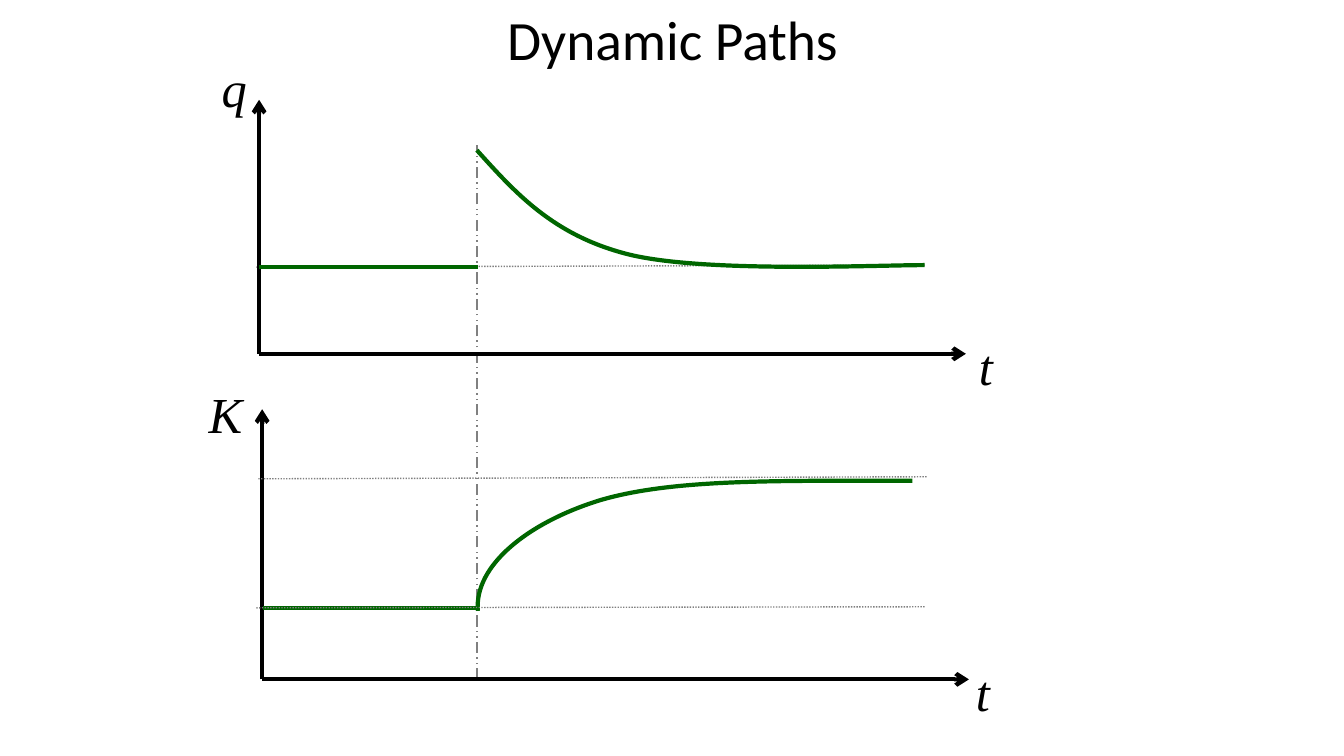
from dataclasses import dataclass

from pptx import Presentation
from pptx.dml.color import RGBColor
from pptx.enum.dml import MSO_LINE
from pptx.enum.shapes import MSO_CONNECTOR
from pptx.enum.text import MSO_ANCHOR, MSO_AUTO_SIZE, PP_ALIGN
from pptx.oxml.ns import qn
from pptx.oxml.xmlchemy import OxmlElement
from pptx.util import Inches, Pt

STRAIGHT = MSO_CONNECTOR.STRAIGHT
DOTTED = MSO_LINE.ROUND_DOT
DASH_DOTS = MSO_LINE.DASH_DOT_DOT
MIDDLE = MSO_ANCHOR.MIDDLE
NO_FIT = MSO_AUTO_SIZE.NONE
GROW = MSO_AUTO_SIZE.SHAPE_TO_FIT_TEXT
CENTER = PP_ALIGN.CENTER
TITLE_ONLY = 5


@dataclass(frozen=True)
class Theme:
    ink: RGBColor = RGBColor(0x00, 0x00, 0x00)
    guide: RGBColor = RGBColor(0x80, 0x80, 0x80)
    curve: RGBColor = RGBColor(0x00, 0x66, 0x00)
    title_font: str = "Calibri"
    label_font: str = "Times New Roman"
    title_size: float = 39.6
    label_size: float = 36
    guide_width: float = 1
    bold_width: float = 3


THEME = Theme()


def to_lengths(point):
    return tuple(Inches(value) for value in point)


def add_run(paragraph, text, font_name, size, italic=False):
    run = paragraph.add_run()
    run.text = text
    run.font.name = font_name
    run.font.size = Pt(size)
    run.font.italic = italic
    run.font.color.rgb = THEME.ink


def add_title(slide, text):
    title = slide.shapes.title
    title.left, title.top = Inches(0.67), Inches(0)
    title.width, title.height = Inches(12), Inches(0.76)
    frame = title.text_frame
    frame.auto_size = NO_FIT
    frame.vertical_anchor = MIDDLE
    frame.paragraphs[0].alignment = CENTER
    add_run(frame.paragraphs[0], text, THEME.title_font, THEME.title_size)


def add_label(slide, text, left, top):
    label = slide.shapes.add_textbox(
        Inches(left), Inches(top), Inches(0.47), Inches(0.71))
    frame = label.text_frame
    frame.word_wrap = False
    frame.auto_size = GROW
    add_run(frame.paragraphs[0], text, THEME.label_font, THEME.label_size, italic=True)


def add_line(shapes, start, end, color, width, dash=None, arrow=False):
    connector = shapes.add_connector(STRAIGHT, *to_lengths(start), *to_lengths(end))
    connector.line.color.rgb = color
    connector.line.width = Pt(width)
    if dash is not None:
        connector.line.dash_style = dash
    if arrow:
        arrowhead = OxmlElement("a:tailEnd")
        arrowhead.set("type", "arrow")
        connector.line._get_or_add_ln().append(arrowhead)
    connector._element.spPr.append(OxmlElement("a:effectLst"))


def add_guide(slide, start, end, dash=DOTTED):
    add_line(slide.shapes, start, end, THEME.guide, THEME.guide_width, dash=dash)


def add_steady_state(slide, start, end):
    add_line(slide.shapes, start, end, THEME.curve, THEME.bold_width)


def add_axes(slide, origin, top, right):
    axes = slide.shapes.add_group_shape()
    for tip in ((origin[0], top), (right, origin[1])):
        add_line(axes.shapes, origin, tip, THEME.ink, THEME.bold_width, arrow=True)


def add_curve(slide, start, controls):
    """Draw Bézier segments; each takes three points of controls."""
    builder = slide.shapes.build_freeform(*to_lengths(start))
    builder.add_line_segments([to_lengths(point) for point in controls], close=False)
    curve = builder.convert_to_shape()

    # Join every three straight segments into one cubic segment
    segments = list(curve._element.iter(qn("a:lnTo")))
    for first in range(0, len(segments), 3):
        cubic = OxmlElement("a:cubicBezTo")
        segments[first].addprevious(cubic)
        for segment in segments[first:first + 3]:
            cubic.append(segment[0])
            segment.getparent().remove(segment)

    curve.fill.background()
    curve.line.color.rgb = THEME.curve
    curve.line.width = Pt(THEME.bold_width)
    curve.shadow.inherit = False


def main():
    prs = Presentation()
    prs.slide_width, prs.slide_height = Inches(13.33), Inches(7.5)
    slide = prs.slides.add_slide(prs.slide_layouts[TITLE_ONLY])
    add_title(slide, "Dynamic Paths")

    # Guides behind both charts: steady q and the moment of the shock
    add_guide(slide, (9.17, 2.63), (2.53, 2.65))
    add_guide(slide, (4.73, 6.74), (4.73, 1.44), DASH_DOTS)

    # Axes and their labels
    add_axes(slide, origin=(2.57, 3.51), top=0.99, right=9.58)
    add_axes(slide, origin=(2.6, 6.74), top=4.06, right=9.61)
    for text, left, top in (("q", 2.1, 0.52), ("t", 9.61, 3.28),
                            ("K", 1.97, 3.75), ("t", 9.58, 6.51)):
        add_label(slide, text, left, top)

    # Path of q: jumps, then falls back
    add_steady_state(slide, (2.57, 2.65), (4.74, 2.65))
    add_curve(slide, (4.73, 1.49), [
        (5.11, 1.91), (5.48, 2.33), (6.22, 2.52),
        (6.96, 2.71), (8.69, 2.63), (9.17, 2.63)])

    # Path of K: rises to its new level
    add_steady_state(slide, (2.61, 6.03), (4.73, 6.03))
    add_curve(slide, (4.74, 6.06), [
        (4.7, 5.61), (5.24, 5.18), (5.96, 4.96),
        (6.68, 4.75), (7.7, 4.77), (9.05, 4.77)])

    # Old and new levels of K
    add_guide(slide, (9.17, 6.02), (2.53, 6.03))
    add_guide(slide, (9.19, 4.73), (2.55, 4.75))

    prs.save("out.pptx")


if __name__ == "__main__":
    main()
